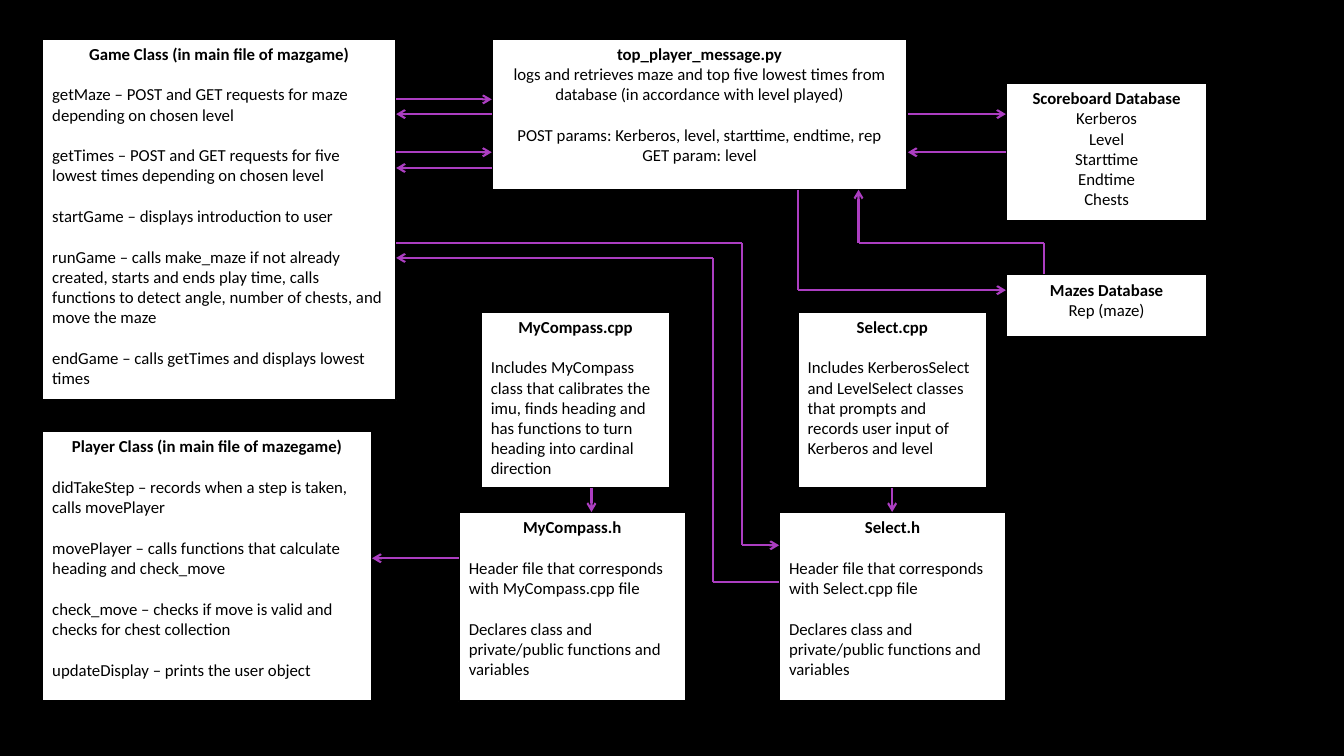
from dataclasses import dataclass

import pptx
import pptx.dml.color
import pptx.enum.shapes
import pptx.enum.text
import pptx.oxml
import pptx.oxml.ns
import pptx.slide
import pptx.text.text
import pptx.util

Pt = pptx.util.Pt
ALIGN = pptx.enum.text.PP_ALIGN
BLACK, WHITE, PURPLE = "000000", "FFFFFF", "AC3EC1"
LINE_HEIGHT = 14.65
GAME_RIGHT, MESSAGE_LEFT, MESSAGE_RIGHT = 283, 351.25, 648.5
MESSAGE_BOTTOM, DATABASE_LEFT, SELECT_LEFT = 135.5, 718.5, 556.5
SOURCE_TOP, SOURCE_BOTTOM, HEADER_TOP = 222.5, 348.5, 365.75
SOURCE_SIZE, HEADER_SIZE = (135.25, 126), (162, 135.25)


@dataclass
class Box:
    left: float
    top: float
    width: float
    height: float
    title: str
    blocks: list[list[str]]
    centered: bool = False


@dataclass
class Route:
    points: list[tuple[float, float]]


def header_blocks(source: str) -> list[list[str]]:
    return [
        [f"Header file that corresponds with {source} file"],
        ["Declares class and private/public functions and variables"],
    ]


BOXES = [
    Box(30.25, 27.5, 252.75, 258.5, "Game Class (in main file of mazgame)", [
        ["getMaze – POST and GET requests for maze depending on chosen level"],
        ["getTimes – POST and GET requests for five lowest times depending on chosen level"],
        ["startGame – displays introduction to user"],
        ["runGame – calls make_maze if not already created, starts and ends play time, "
         "calls functions to detect angle, number of chests, and move the maze"],
        ["endGame – calls getTimes and displays lowest times"],
    ]),
    Box(30.25, 308, 235.5, 192.75, "Player Class (in main file of mazegame)", [
        ["didTakeStep – records when a step is taken, calls movePlayer"],
        ["movePlayer – calls functions that calculate heading and check_move"],
        ["check_move – checks if move is valid and checks for chest collection"],
        ["updateDisplay – prints the user object"],
    ]),
    Box(343.5, SOURCE_TOP, *SOURCE_SIZE, "MyCompass.cpp", [
        ["Includes MyCompass class that calibrates the imu, finds heading and "
         "has functions to turn heading into cardinal direction"],
    ]),
    Box(327.75, HEADER_TOP, *HEADER_SIZE, "MyCompass.h", header_blocks("MyCompass.cpp")),
    Box(569.75, SOURCE_TOP, *SOURCE_SIZE, "Select.cpp", [
        ["Includes KerberosSelect and LevelSelect classes that prompts and "
         "records user input of Kerberos and level"],
    ]),
    Box(SELECT_LEFT, HEADER_TOP, *HEADER_SIZE, "Select.h", header_blocks("Select.cpp")),
    Box(MESSAGE_LEFT, 27.5, 297, 108, "top_player_message.py", [
        ["logs and retrieves maze and top five lowest times from database "
         "(in accordance with level played)"],
        ["POST params: Kerberos, level, starttime, endtime, rep", "GET param: level"],
    ], True),
    Box(DATABASE_LEFT, 196, 144, 44.5, "Mazes Database", [["Rep (maze)"]], True),
    Box(DATABASE_LEFT, 59.25, 144, 99, "Scoreboard Database",
        [["Kerberos", "Level", "Starttime", "Endtime", "Chests"]], True),
]

ROUTES = [
    Route([(422.5, SOURCE_BOTTOM), (422.5, HEADER_TOP)]),
    Route([(637.25, SOURCE_BOTTOM), (637.25, HEADER_TOP)]),
    Route([(327.75, 398.75), (265.75, 398.75)]),
    Route([(GAME_RIGHT, 71), (MESSAGE_LEFT, 71)]),
    Route([(MESSAGE_LEFT, 81.5), (GAME_RIGHT, 81.5)]),
    Route([(GAME_RIGHT, 108.75), (MESSAGE_LEFT, 108.75)]),
    Route([(MESSAGE_LEFT, 120), (GAME_RIGHT, 120)]),
    Route([(MESSAGE_RIGHT, 81.5), (DATABASE_LEFT, 81.5)]),
    Route([(DATABASE_LEFT, 108.75), (MESSAGE_RIGHT, 108.75)]),
    Route([(746, 196), (746, 173.5), (613.25, 173.5), (613.25, MESSAGE_BOTTOM)]),
    Route([(569.75, MESSAGE_BOTTOM), (569.75, 207.25), (DATABASE_LEFT, 207.25)]),
    Route([(SELECT_LEFT, 416), (509.25, 416), (509.25, 184.25), (GAME_RIGHT, 184.25)]),
    Route([(GAME_RIGHT, 173.5), (530, 173.5), (530, 389.5), (SELECT_LEFT, 389.5)]),
]


def color(value: str) -> pptx.dml.color.RGBColor:
    return pptx.dml.color.RGBColor.from_string(value)


def add_text(p: pptx.text.text._Paragraph, text: str, bold: bool = False) -> None:
    r = p.add_run()
    r.text = text
    r.font.name = "Calibri"
    r.font.size = Pt(12)
    r.font.bold = bold
    r.font.color.rgb = color(BLACK)


def add_box(s: pptx.slide.Slide, box: Box) -> None:
    sp = s.shapes.add_shape(
        pptx.enum.shapes.MSO_SHAPE.RECTANGLE,
        Pt(box.left), Pt(box.top), Pt(box.width), Pt(box.height),
    )
    sp.shadow.inherit = False
    sp.fill.solid()
    sp.fill.fore_color.rgb = color(WHITE)
    sp.line.color.rgb = color(BLACK)
    sp.line.width = Pt(1.5)
    tf = sp.text_frame
    tf.word_wrap = True
    tf.vertical_anchor = pptx.enum.text.MSO_ANCHOR.TOP
    p = tf.paragraphs[0]
    p.alignment = ALIGN.CENTER
    add_text(p, box.title, bold=True)
    for b, block in enumerate(box.blocks):
        for i, text in enumerate(block):
            p = tf.add_paragraph()
            p.alignment = ALIGN.CENTER if box.centered else ALIGN.LEFT
            if i == 0 and (b > 0 or not box.centered):
                p.space_before = Pt(LINE_HEIGHT)
            add_text(p, text)


def add_route(s: pptx.slide.Slide, route: Route) -> None:
    for start, end in zip(route.points, route.points[1:]):
        sp = s.shapes.add_connector(
            pptx.enum.shapes.MSO_CONNECTOR.STRAIGHT, *map(Pt, start + end)
        )
        sp.line.color.rgb = color(PURPLE)
        sp.line.width = Pt(1.5)
        if end == route.points[-1]:
            tail = pptx.oxml.parse_xml(
                f'<a:tailEnd {pptx.oxml.ns.nsdecls("a")} type="arrow"/>'
            )
            sp.line._get_or_add_ln().append(tail)
        sp._element.spPr.append(
            pptx.oxml.parse_xml(f'<a:effectLst {pptx.oxml.ns.nsdecls("a")}/>')
        )


def main() -> None:
    prs = pptx.Presentation()
    prs.slide_width, prs.slide_height = Pt(960), Pt(540)
    s = prs.slides.add_slide(prs.slide_layouts[6])
    s.background.fill.solid()
    s.background.fill.fore_color.rgb = color(BLACK)
    for box in BOXES:
        add_box(s, box)
    for route in ROUTES:
        add_route(s, route)
    prs.save("out.pptx")


if __name__ == "__main__":
    main()
